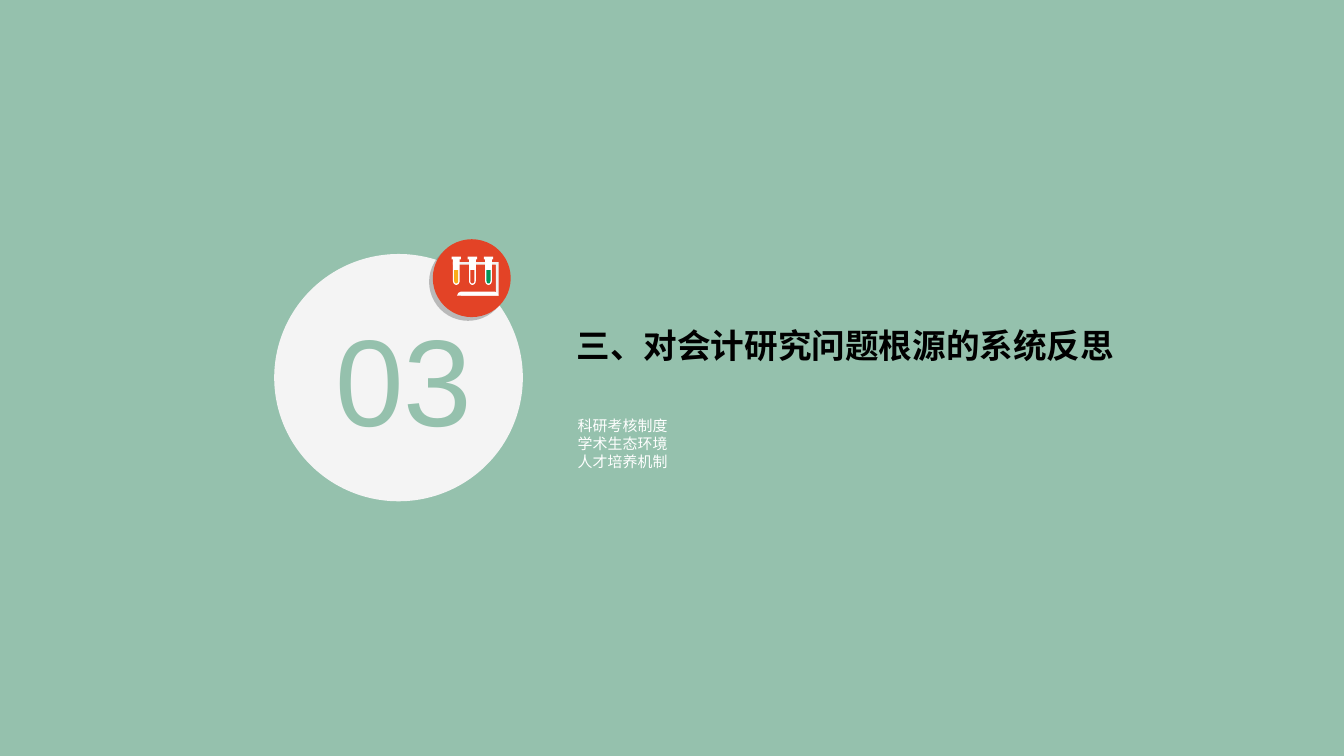
from math import cos, pi, sin

from lxml import etree
from pptx import Presentation
from pptx.dml.color import RGBColor
from pptx.enum.shapes import MSO_SHAPE
from pptx.enum.text import MSO_AUTO_SIZE, PP_ALIGN
from pptx.oxml.ns import qn
from pptx.util import Inches, Pt

OVAL, RECT = MSO_SHAPE.OVAL, MSO_SHAPE.RECTANGLE
LEFT, CENTER = PP_ALIGN.LEFT, PP_ALIGN.CENTER
GROW = MSO_AUTO_SIZE.SHAPE_TO_FIT_TEXT

GREEN, PALE, WHITE, BLACK = "95C1AD", "F4F4F4", "FFFFFF", "000000"
RED, AMBER, EMERALD, FRAME = "E34326", "FAAB18", "009658", "F1F0EF"
LATIN, CJK = "Arial", "Noto Sans CJK SC"


def rgb(value):
    return RGBColor.from_string(value)


class SlideBuilder:
    """Holds the style and the current slide; shapes go to self.target."""

    def __init__(self, slide, background):
        self.slide = slide
        self.target = slide.shapes
        fill = slide.background.fill
        fill.solid()
        fill.fore_color.rgb = rgb(background)

    def start_group(self):
        self.target = self.slide.shapes.add_group_shape().shapes

    def paint(self, sp, color):
        sp.shadow.inherit = False
        sp.fill.solid()
        sp.fill.fore_color.rgb = rgb(color)
        sp.line.fill.background()
        return sp

    def shape(self, kind, x, y, w, h, color):
        sp = self.target.add_shape(kind, *map(Inches, (x, y, w, h)))
        return self.paint(sp, color)

    def outline(self, points, color):
        points = [(Inches(x), Inches(y)) for x, y in points]
        builder = self.target.build_freeform(*points[0])
        builder.add_line_segments(points[1:], close=True)
        return self.paint(builder.convert_to_shape(), color)

    def tube(self, x, top, w, straight, depth, color):
        """Straight sides closed by a half ellipse below."""
        arc = [(x + w / 2 * (1 + cos(pi * i / 12)),
                straight + depth * sin(pi * i / 12)) for i in range(13)]
        return self.outline([(x, top), (x + w, top)] + arc, color)

    def drop_shadow(self, sp, color, alpha, distance, angle):
        effects = sp._element.spPr.find(qn("a:effectLst"))
        shadow = etree.SubElement(effects, qn("a:outerShdw"), dist=str(Pt(distance)),
                                  dir=str(angle * 60000), algn="ctr", rotWithShape="0")
        tint = etree.SubElement(shadow, qn("a:srgbClr"), val=color)
        etree.SubElement(tint, qn("a:alpha"), val=str(alpha * 1000))

    def text(self, x, y, w, h, lines, color, size, font=LATIN, bold=False,
             align=LEFT, inset=None):
        tf = self.slide.shapes.add_textbox(*map(Inches, (x, y, w, h))).text_frame
        tf.word_wrap = True
        tf.auto_size = GROW
        if inset is not None:
            for side in ("left", "top", "right", "bottom"):
                setattr(tf, f"margin_{side}", Inches(inset))
        style = {"name": font, "size": Pt(size), "bold": bold}
        for i, line in enumerate(lines):
            p = tf.add_paragraph() if i else tf.paragraphs[0]
            p.alignment = align
            r = p.add_run()
            r.text = line
            for key, value in style.items():
                setattr(r.font, key, value)
            r.font.color.rgb = rgb(color)
            etree.SubElement(r._r.get_or_add_rPr(), qn("a:ea"), typeface=CJK)


def main():
    prs = Presentation()
    prs.slide_width, prs.slide_height = Inches(10), Inches(10 * 9 / 16)
    s = SlideBuilder(prs.slides.add_slide(prs.slide_layouts[6]), GREEN)

    # Number disc, title and topics
    s.shape(OVAL, 2.04, 1.89, 1.85, 1.84, PALE)
    s.text(4.29, 2.42, 4.25, 0.3, ["三、对会计研究问题根源的系统反思"], BLACK, 18,
           font=CJK, bold=True, inset=0)
    s.text(4.2, 3.05, 3.62, 0.5, ["科研考核制度", "学术生态环境", "人才培养机制"], WHITE, 8)
    s.text(2.32, 2.21, 1.37, 1.2, ["03"], GREEN, 66, align=CENTER)

    # Badge
    s.start_group()
    badge = s.shape(OVAL, 3.22, 1.78, 0.58, 0.58, RED)
    s.drop_shadow(badge, "808080", 50, 2.8, 135)

    # Stand
    s.outline([(3.37, 1.95), (3.71, 1.95), (3.71, 2.2), (3.43, 2.2), (3.43, 2.19),
               (3.69, 2.19), (3.69, 1.97), (3.37, 1.97)], FRAME)

    # Test tubes with their liquids
    tubes = [(3.37 + 0.12 * i, liquid) for i, liquid in enumerate((AMBER, RED, EMERALD))]
    for x, liquid in tubes:
        s.tube(x, 1.92, 0.05, 2.09, 0.03, WHITE)
        s.tube(x + 0.01, 2.01, 0.03, 2.09, 0.02, liquid)

    # Base and tube rims
    s.outline([(3.4, 2.2), (3.41, 2.18), (3.43, 2.17), (3.68, 2.17), (3.7, 2.18),
               (3.71, 2.2)], WHITE)
    for x, _ in tubes:
        s.shape(RECT, x - 0.01, 1.91, 0.07, 0.02, WHITE)

    prs.save("out.pptx")


if __name__ == "__main__":
    main()
